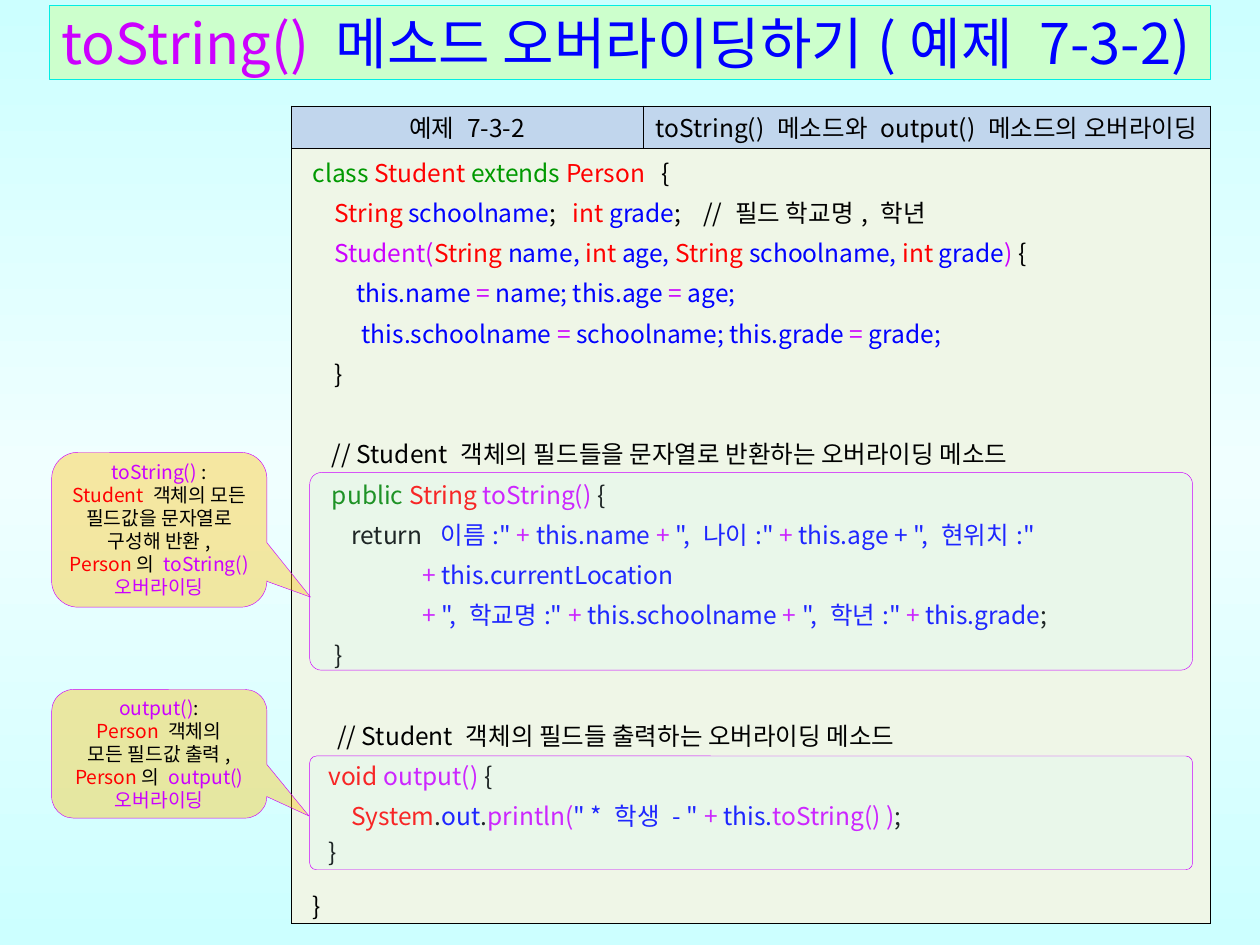
from dataclasses import dataclass, field
from copy import deepcopy
from lxml.etree import SubElement as Sub
from pptx import Presentation as Deck
from pptx.dml.color import RGBColor as Rgb
from pptx.enum.shapes import MSO_SHAPE as Kind
from pptx.enum.text import MSO_ANCHOR as Anchor, PP_ALIGN as Align
from pptx.oxml.ns import qn
from pptx.util import Pt


@dataclass(frozen=True)
class Theme:
    face: str = "Noto Sans CJK KR"
    head: int = 32
    code: int = 14
    note: int = 11
    line: float = 0.25
    sky: tuple = ("CCFFFF", "F0FFFF", "CCFFFF")
    mint: str = "CCFFCC"
    aqua: str = "03EDE2"
    band: str = "C1D6ED"
    page: str = "EFF6E7"
    gold: str = "FFC000"
    glass: str = "CCFFFF"
    pink: str = "CC00FF"
    black: str = "000000"
    ink: dict = field(default_factory=lambda: {
        "k": "000000", "r": "FF0000", "b": "0000FF",
        "p": "CC00FF", "g": "009900", "d": "008000"})


LOOK = Theme()
STEP = Pt(23)

CODE = [
    (11.5, 0, "~gclass ~rStudent ~gextends ~rPerson   ~k{"),
    (24, 0, "~rString ~bschoolname~k;   ~rint ~bgrade~k;    // 필드 학교명, 학년"),
    (24, 0, "~pStudent(~rString ~bname, ~rint~b age, ~rString ~bschoolname, "
            "~rint~b grade~p)~k {"),
    (36.5, 0, "~bthis.name ~p=~b name; this.age ~p=~b age;"),
    (39.5, 0, "~bthis.schoolname ~p=~b schoolname; this.grade ~p=~b grade;"),
    (24, 0, "~k}"),
    (22.5, 23, "~k// Student 객체의 필드들을 문자열로 반환하는 오버라이딩 메소드"),
    (22.5, 0, "~dpublic~r String ~ptoString() ~k{"),
    (33.5, 0, "~kreturn  ~b이름:\" ~p+~b this.name ~p+~b \", 나이:\" ~p+"
              "~b this.age + \", 현위치:\""),
    (74, 0, "~p+ ~bthis.currentLocation"),
    (74, 0, "~p+ ~b\", 학교명:\" ~p+ ~bthis.schoolname ~p+~b \", 학년:\" ~p+"
            "~b this.grade~k;"),
    (24, 0, "~k}"),
    (25.5, 23, "~k// Student 객체의 필드들 출력하는 오버라이딩 메소드"),
    (20.5, 0, "~rvoid ~poutput() ~k{"),
    (33.5, 0, "~rSystem~k.~bout~k.~pprintln(~b\" * 학생 - \" ~p+ ~bthis."
              "~ptoString() )~k;"),
    (20.5, 0, "~k}"),
    (11.5, 0, "~k}"),
]
GAPS = {15: 1.0, 16: 1.5}

NOTES = [
    (394, 73.5, 0.696, 0.484, (432, 65), [
        "~poutput()~k:", "~rPerson ~k객체의", "~k모든 필드값 출력,",
        "~rPerson~k의 ~poutput()", "~p오버라이딩"]),
    (258.5, 88.5, 0.703, 0.435, (270, 113), [
        "~ptoString() ~k:", "~rStudent ~k객체의 모든 필드값을 문자열로 구성해 반환,",
        "~rPerson~k의 ~ptoString()", "~p오버라이딩"]),
]


def put(item, vals):
    for name, val in vals.items():
        setattr(item, name, val)


def tint(fill, hue, part=100):
    fill.solid()
    fill.fore_color.rgb = Rgb.from_string(hue)
    if part < 100:
        node = fill._xPr.find(".//" + qn("a:srgbClr"))
        Sub(node, qn("a:alpha"), val=str(part * 1000))


def write(para, text, size, **form):
    put(para, form)
    for part in text.split("~")[1:]:
        run = para.add_run()
        run.text = part[1:]
        run.font.color.rgb = Rgb.from_string(LOOK.ink[part[0]])
        put(run.font, {"name": LOOK.face, "size": Pt(size), "bold": False})
        Sub(run.font._element, qn("a:ea"), typeface=LOOK.face)


def lines(frame):
    yield frame.paragraphs[0]
    while True:
        yield frame.add_paragraph()


def shape(slide, kind, box, hue, edge, part=100, adj=()):
    item = slide.shapes.add_shape(kind, *map(Pt, box))
    item.shadow.inherit = False
    tint(item.fill, hue, part)
    tint(item.line.fill, edge)
    item.line.width = Pt(LOOK.line)
    for spot, val in enumerate(adj):
        item.adjustments[spot] = val
    return item


def sky(slide):
    fill = slide.background.fill
    fill.gradient()
    fill.gradient_angle = 90
    stops = slide._element.find(".//" + qn("a:gsLst"))
    stops.append(deepcopy(stops[-1]))
    for stop, hue, spot in zip(fill.gradient_stops, LOOK.sky, (0, 0.5, 1)):
        stop.color.rgb = Rgb.from_string(hue)
        stop.position = spot


def title(slide):
    item = shape(slide, Kind.RECTANGLE, (28, 3, 663.5, 42.5),
                 LOOK.mint, LOOK.aqua)
    put(item.text_frame, {"word_wrap": True, "vertical_anchor": Anchor.MIDDLE})
    write(item.text_frame.paragraphs[0],
          "~ptoString() ~b메소드 오버라이딩하기(예제 7-3-2)",
          LOOK.head, alignment=Align.LEFT)


def style(cell, hue, pad):
    put(cell, {"margin_left": Pt(pad), "margin_right": Pt(pad),
               "margin_top": Pt(0.7), "margin_bottom": Pt(0.7),
               "vertical_anchor": Anchor.MIDDLE})
    prop = cell._tc.get_or_add_tcPr()
    for side in "LRTB":
        edge = Sub(prop, qn("a:ln" + side), w=str(Pt(LOOK.line)))
        Sub(Sub(edge, qn("a:solidFill")), qn("a:srgbClr"), val=LOOK.black)
    tint(cell.fill, hue)


def table(slide):
    grid = slide.shapes.add_table(2, 2, Pt(166.5), Pt(60.5),
                                  Pt(525), Pt(424)).table
    put(grid, {"first_row": False, "horz_banding": False})
    for col, wide in zip(grid.columns, (201, 324)):
        col.width = Pt(wide)
    for row, high in zip(grid.rows, (24, 400)):
        row.height = Pt(high)
    body = grid.cell(1, 0)
    body.merge(grid.cell(1, 1))
    heads = ("~k예제 7-3-2", "~ktoString() 메소드와 output() 메소드의 오버라이딩")
    for col, text in enumerate(heads):
        style(grid.cell(0, col), LOOK.band, 1.4)
        style(grid.cell(1, col), LOOK.page, 0.7)
        write(grid.cell(0, col).text_frame.paragraphs[0], text, LOOK.code,
              alignment=Align.CENTER)
    rows = zip(CODE, lines(body.text_frame))
    for spot, ((left, gap, text), para) in enumerate(rows):
        write(para, text, LOOK.code, alignment=Align.LEFT,
              space_before=Pt(gap), line_spacing=GAPS.get(spot, STEP))
        prop = para._p.get_or_add_pPr()
        prop.set("marL", str(Pt(left)))
        prop.set("indent", "0")


def note(slide, top, high, across, down, frame, texts):
    item = shape(slide, Kind.ROUNDED_RECTANGULAR_CALLOUT,
                 (29.5, top, 123, high), LOOK.gold, LOOK.pink, 37,
                 (across, down, 0.17))
    put(item.text_frame, {"margin_left": 0, "margin_right": 0, "margin_top": 0,
                          "margin_bottom": 0, "word_wrap": True,
                          "vertical_anchor": Anchor.TOP})
    for text, para in zip(texts, lines(item.text_frame)):
        write(para, text, LOOK.note, alignment=Align.CENTER)
    top, high = frame
    shape(slide, Kind.ROUNDED_RECTANGLE, (177, top, 504.5, high),
          LOOK.glass, LOOK.pink, 15, (0.06,))


def main():
    deck = Deck()
    put(deck, {"slide_width": Pt(720), "slide_height": Pt(540)})
    slide = deck.slides.add_slide(deck.slide_layouts[6])
    sky(slide)
    title(slide)
    table(slide)
    for item in NOTES:
        note(slide, *item)
    deck.save("out.pptx")


if __name__ == "__main__":
    main()
